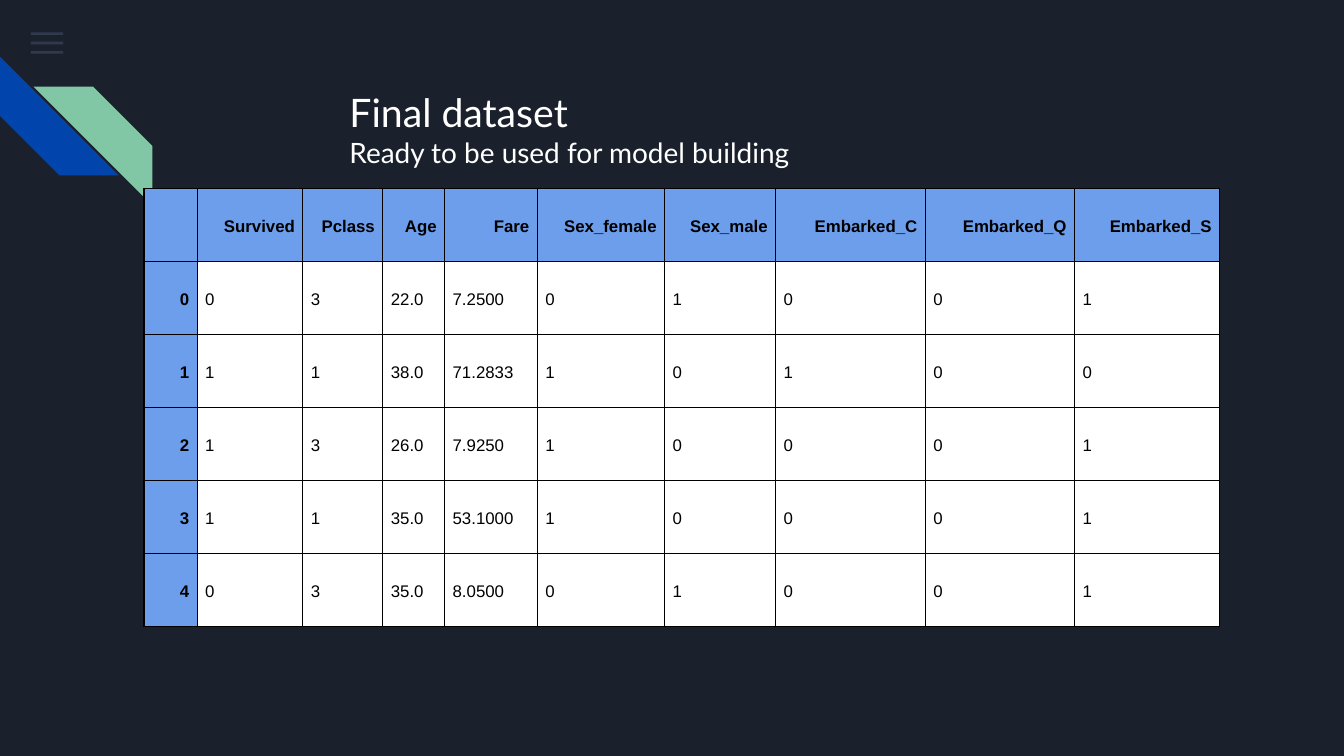
from pptx import Presentation
from pptx.dml.color import RGBColor
from pptx.enum.shapes import MSO_SHAPE
from pptx.enum.text import MSO_ANCHOR, MSO_AUTO_SIZE, PP_ALIGN
from pptx.oxml.ns import qn
from pptx.oxml.xmlchemy import OxmlElement
from pptx.util import Inches, Pt

RECTANGLE, STRIPE = MSO_SHAPE.RECTANGLE, MSO_SHAPE.DIAGONAL_STRIPE
TOP, MIDDLE = MSO_ANCHOR.TOP, MSO_ANCHOR.MIDDLE
LEFT, RIGHT = PP_ALIGN.LEFT, PP_ALIGN.RIGHT
NO_AUTOFIT = MSO_AUTO_SIZE.NONE

NAVY = RGBColor(0x1B, 0x21, 0x2C)
SLATE = RGBColor(0x55, 0x68, 0x8B)
BLUE = RGBColor(0x01, 0x45, 0xAC)
GREEN = RGBColor(0x82, 0xC7, 0xA5)
HEADER_BLUE = RGBColor(0x6D, 0x9E, 0xEB)
WHITE = RGBColor(0xFF, 0xFF, 0xFF)
BLACK = RGBColor(0x00, 0x00, 0x00)

presentation = Presentation()
presentation.slide_width = Inches(10)
presentation.slide_height = presentation.slide_width * 9 // 16
percent = presentation.slide_width // 100
slide = presentation.slides.add_slide(presentation.slide_layouts[5])
slide.background.fill.solid()
slide.background.fill.fore_color.rgb = NAVY


def share(*values):
    return [round(value * percent) for value in values]


def add_plain_shape(kind, box, color):
    shape = slide.shapes.add_shape(kind, *share(*box))
    shape.shadow.inherit = False
    shape.fill.solid()
    shape.fill.fore_color.rgb = color
    shape.line.fill.background()
    return shape


for index in range(3):
    menu_bar = add_plain_shape(RECTANGLE, (2.3, 2.4 + 0.7 * index, 2.4, 0.2), SLATE)
    alpha = OxmlElement("a:alpha")
    alpha.set("val", "36000")
    menu_bar._element.spPr.find(".//" + qn("a:srgbClr")).append(alpha)

blue_stripe = add_plain_shape(STRIPE, (0, 4.2, 8.85, 8.85), BLUE)
blue_stripe.rotation = 270
green_stripe = add_plain_shape(STRIPE, (2.5, 6.45, 8.85, 8.85), GREEN)
green_stripe._element.spPr.find(qn("a:xfrm")).set("flipH", "1")

title = slide.shapes.title
title.left, title.top, title.width, title.height = share(25, 5.6, 47, 9.7)
title_frame = title.text_frame
title_frame.text = "Final dataset\nReady to be used for model building"
title_frame.word_wrap = True
title_frame.auto_size = NO_AUTOFIT
title_frame.vertical_anchor = TOP
title_frame.margin_left = title_frame.margin_right = percent
title_frame.margin_top = title_frame.margin_bottom = percent
for paragraph, size in zip(title_frame.paragraphs, (21, 15)):
    paragraph.alignment = LEFT
    paragraph.space_before = Pt(0)
    font = paragraph.runs[0].font
    font.name, font.size, font.color.rgb = "Lato", Pt(size), WHITE

rows = [
    ["", "Survived", "Pclass", "Age", "Fare", "Sex_female", "Sex_male",
     "Embarked_C", "Embarked_Q", "Embarked_S"],
    ["0", "0", "3", "22.0", "7.2500", "0", "1", "0", "0", "1"],
    ["1", "1", "1", "38.0", "71.2833", "1", "0", "1", "0", "0"],
    ["2", "1", "3", "26.0", "7.9250", "1", "0", "0", "0", "1"],
    ["3", "1", "1", "35.0", "53.1000", "1", "0", "0", "0", "1"],
    ["4", "0", "3", "35.0", "8.0500", "0", "1", "0", "0", "1"],
]
column_widths = share(3.95, 7.87, 5.95, 4.6, 6.9, 9.47, 8.26, 11.14, 11.1, 10.8)
left, top, row_height, margin = share(10.72, 14.05, 5.43, 0.6)
table = slide.shapes.add_table(len(rows), len(column_widths), left, top,
                               sum(column_widths), row_height * len(rows)).table
for column, width in zip(table.columns, column_widths):
    column.width = width

for row_index, values in enumerate(rows):
    for column_index, value in enumerate(values):
        is_header = row_index == 0 or column_index == 0
        cell = table.cell(row_index, column_index)
        cell.text = value
        cell.vertical_anchor = MIDDLE
        cell.margin_left = cell.margin_right = margin
        cell.margin_top = cell.margin_bottom = margin
        paragraph = cell.text_frame.paragraphs[0]
        paragraph.alignment = RIGHT if is_header else LEFT
        paragraph.line_spacing = 1.15
        font = paragraph.font
        if paragraph.runs:
            font = paragraph.runs[0].font
        font.name, font.size, font.bold = "Arial", Pt(9), is_header
        font.color.rgb = BLACK
        properties = cell._tc.get_or_add_tcPr()
        for side in ("a:lnL", "a:lnR", "a:lnT", "a:lnB"):
            border = OxmlElement(side)
            border.set("w", str(Pt(0.75)))
            border_fill = OxmlElement("a:solidFill")
            border_color = OxmlElement("a:srgbClr")
            border_color.set("val", str(BLACK))
            border_fill.append(border_color)
            border.append(border_fill)
            properties.append(border)
        cell.fill.solid()
        cell.fill.fore_color.rgb = HEADER_BLUE if is_header else WHITE

presentation.save("out.pptx")
